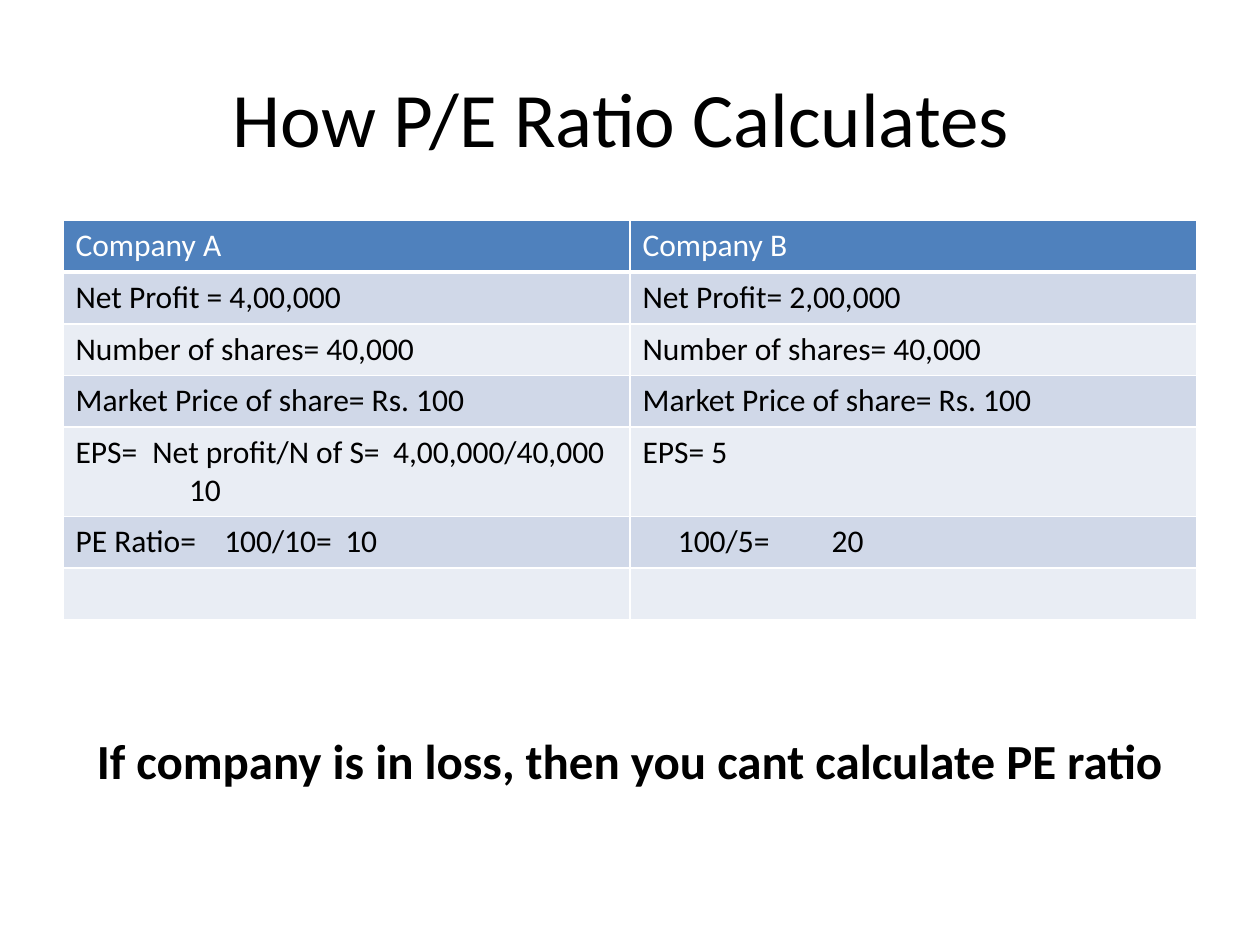
from lxml.etree import SubElement
from pptx import Presentation
from pptx.dml.color import RGBColor
from pptx.enum.text import MSO_ANCHOR, MSO_AUTO_SIZE, PP_ALIGN
from pptx.oxml.ns import qn
from pptx.util import Inches, Pt

BLACK = RGBColor(0x00, 0x00, 0x00)
WHITE = RGBColor(0xFF, 0xFF, 0xFF)
HEADER_BLUE = RGBColor(0x4F, 0x81, 0xBD)
BANDS = (RGBColor(0xE9, 0xED, 0xF4), RGBColor(0xD0, 0xD8, 0xE8))

ROWS = [
    ("Company A", "Company B"),
    ("Net Profit = 4,00,000", "Net Profit= 2,00,000"),
    ("Number of shares= 40,000", "Number of shares= 40,000"),
    ("Market Price of share= Rs. 100", "Market Price of share= Rs. 100"),
    ("EPS=\tNet profit/N of S=\t4,00,000/40,000\n10", "EPS= 5"),
    ("PE Ratio=\t100/10=\t10", "100/5=\t20"),
    ("", ""),
]
# Keys are (row, column, paragraph); lengths are inches from the cell text edge.
TAB_STOPS = {(4, 0, 0): (0.61, 2.52), (5, 0, 0): (1.18, 2.14), (5, 1, 0): (1.18,)}
INDENTS = {(4, 0, 1): 0.9, (5, 1, 0): 0.28}


class SlideBuilder:
    font_name = "Calibri"

    def __init__(self, slide):
        self.slide = slide

    def style(self, paragraph, size, color, bold=False):
        for font in (paragraph.font, *(run.font for run in paragraph.runs)):
            font.name = self.font_name
            font.size = Pt(size)
            font.bold = bold
            font.color.rgb = color

    def indent(self, paragraph, first_line, tab_stops):
        properties = paragraph._p.get_or_add_pPr()
        if first_line:
            properties.set("marL", "0")
            properties.set("indent", str(Inches(first_line)))
        if tab_stops:
            tab_list = SubElement(properties, qn("a:tabLst"))
            for position in tab_stops:
                SubElement(tab_list, qn("a:tab"), pos=str(Inches(position)), algn="l")

    def border(self, cell, bottom_width):
        properties = cell._tc.get_or_add_tcPr()
        for side, width in (("L", 1), ("R", 1), ("T", 1), ("B", bottom_width)):
            line = SubElement(properties, qn(f"a:ln{side}"), w=str(Pt(width)))
            fill = SubElement(line, qn("a:solidFill"))
            SubElement(fill, qn("a:srgbClr"), val=str(WHITE))

    def text(self, text, left, top, width, height, size, bold=False,
             align=PP_ALIGN.LEFT, anchor=MSO_ANCHOR.TOP, wrap=True):
        box = self.slide.shapes.add_textbox(
            Inches(left), Inches(top), Inches(width), Inches(height))
        frame = box.text_frame
        frame.text = text
        frame.word_wrap = wrap
        frame.auto_size = MSO_AUTO_SIZE.NONE if wrap else MSO_AUTO_SIZE.SHAPE_TO_FIT_TEXT
        frame.vertical_anchor = anchor
        paragraph = frame.paragraphs[0]
        paragraph.alignment = align
        self.style(paragraph, size, BLACK, bold)

    def table(self, rows, left, top, width, row_height, size):
        table = self.slide.shapes.add_table(
            len(rows), len(rows[0]), Inches(left), Inches(top),
            Inches(width), Inches(row_height * len(rows))).table
        for row_index, row in enumerate(rows):
            table.rows[row_index].height = Inches(row_height)
            is_header = row_index == 0
            for column_index, text in enumerate(row):
                cell = table.cell(row_index, column_index)
                self.border(cell, 3 if is_header else 1)
                cell.fill.solid()
                cell.fill.fore_color.rgb = HEADER_BLUE if is_header else BANDS[row_index % 2]
                cell.text_frame.text = text
                for number, paragraph in enumerate(cell.text_frame.paragraphs):
                    key = (row_index, column_index, number)
                    self.style(paragraph, size, WHITE if is_header else BLACK)
                    self.indent(paragraph, INDENTS.get(key), TAB_STOPS.get(key))


def main():
    presentation = Presentation()
    presentation.slide_width = Inches(10)
    presentation.slide_height = Inches(7.5)
    builder = SlideBuilder(presentation.slides.add_slide(presentation.slide_layouts[6]))
    builder.text("How P/E Ratio Calculates ", 0.5, 0.3, 9, 1.25, 44,
                 align=PP_ALIGN.CENTER, anchor=MSO_ANCHOR.MIDDLE)
    builder.table(ROWS, left=0.5, top=1.75, width=9, row_height=0.41, size=18)
    builder.text("If company is in loss, then you cant calculate PE ratio",
                 0.67, 5.75, 8.76, 0.57, 28, bold=True, wrap=False)
    presentation.save("out.pptx")


if __name__ == "__main__":
    main()
